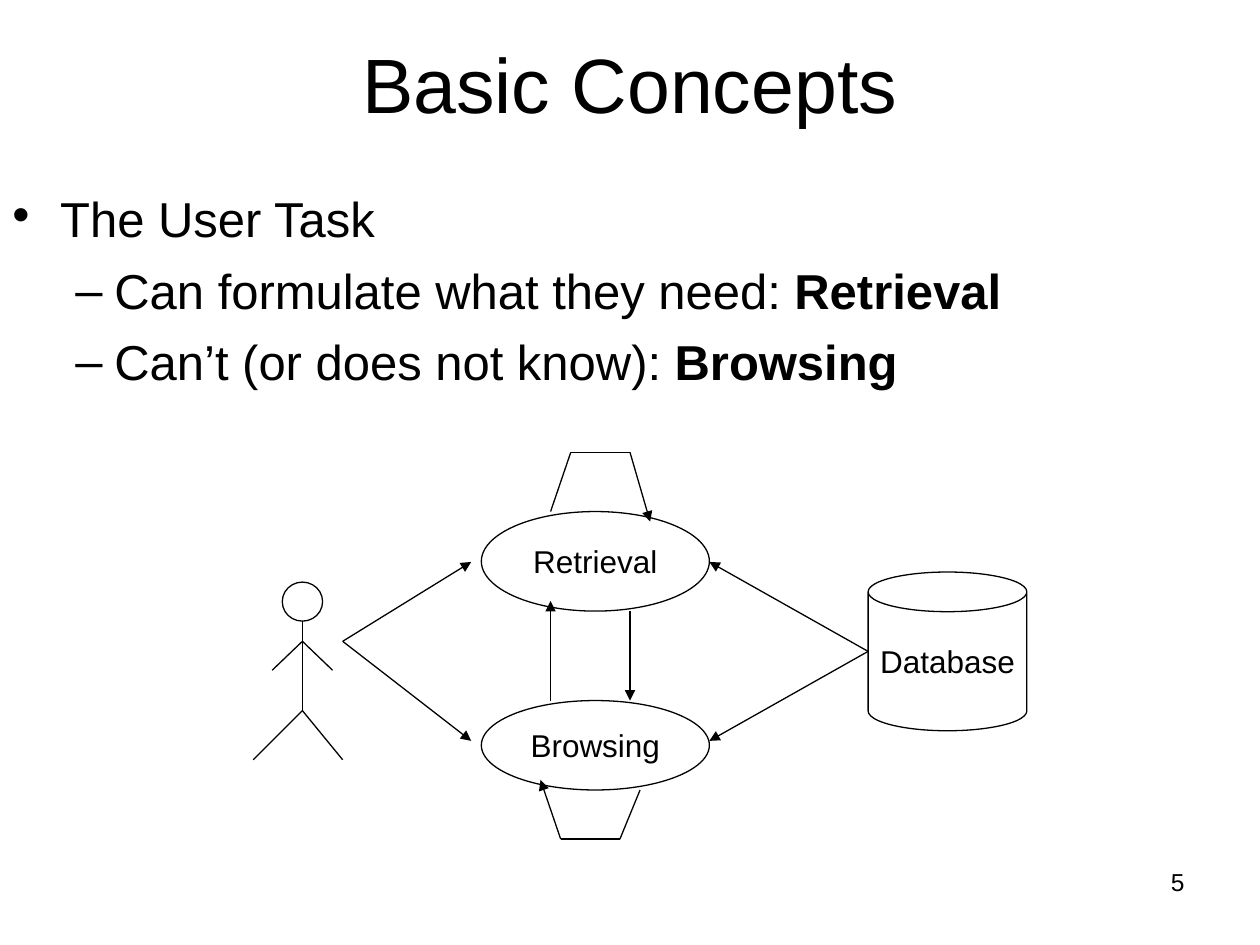
from typing import NamedTuple

import pptx
import pptx.dml.color
import pptx.enum.shapes
import pptx.enum.text
import pptx.oxml
import pptx.oxml.ns
import pptx.util
from pptx.util import Inches

BLACK, WHITE = "000000", "FFFFFF"
FONT = "Arial"
ALIGN = pptx.enum.text.PP_ALIGN
ANCHOR = pptx.enum.text.MSO_ANCHOR
SHAPE = pptx.enum.shapes.MSO_SHAPE


class Node(NamedTuple):
    kind: int
    left: float
    top: float
    width: float
    height: float
    label: str = ""


class Route(NamedTuple):
    """Straight segments through the points, with an optional final arrowhead."""
    points: list[tuple[float, float]]
    arrow: bool = True


class Bullet(NamedTuple):
    mark: str
    margin: float
    hang: float
    space_before: float
    runs: list[tuple[str, dict]]


def colour(value: str) -> pptx.dml.color.RGBColor:
    return pptx.dml.color.RGBColor.from_string(value)


def add_run(paragraph, text: str, size: float, **formats) -> None:
    run = paragraph.add_run()
    run.text = text
    formats = {"name": FONT, "size": pptx.util.Pt(size), **formats}
    for key, value in formats.items():
        setattr(run.font, key, value)
    run.font.color.rgb = colour(BLACK)


def add_text(slide, box: tuple, anchor=ANCHOR.TOP):
    frame = slide.shapes.add_textbox(*map(Inches, box)).text_frame
    frame.word_wrap = True
    frame.vertical_anchor = anchor
    return frame


def add_line_of_text(slide, box: tuple, text: str, size: float, align, anchor=ANCHOR.TOP) -> None:
    paragraph = add_text(slide, box, anchor).paragraphs[0]
    paragraph.alignment = align
    add_run(paragraph, text, size)


def add_bullet(paragraph, bullet: Bullet) -> None:
    paragraph.space_before = pptx.util.Pt(bullet.space_before)
    properties = paragraph._p.get_or_add_pPr()
    properties.set("marL", str(Inches(bullet.margin)))
    properties.set("indent", str(-Inches(bullet.hang)))
    for tag, name, value in (("a:buFont", "typeface", FONT), ("a:buChar", "char", bullet.mark)):
        element = pptx.oxml.parse_xml(f"<{tag} {pptx.oxml.ns.nsdecls('a')}/>")
        element.set(name, value)
        properties.append(element)
    for text, formats in bullet.runs:
        add_run(paragraph, text, **{"size": 28, **formats})


def style_line(line) -> None:
    line.color.rgb = colour(BLACK)
    line.width = pptx.util.Pt(0.75)


def add_node(slide, node: Node) -> None:
    shape = slide.shapes.add_shape(node.kind, *map(Inches, node[1:5]))
    shape.shadow.inherit = False
    shape.fill.solid()
    shape.fill.fore_color.rgb = colour(WHITE)
    style_line(shape.line)
    if node.label:
        shape.text_frame.word_wrap = False
        shape.text_frame.vertical_anchor = ANCHOR.MIDDLE
        paragraph = shape.text_frame.paragraphs[0]
        paragraph.alignment = ALIGN.CENTER
        add_run(paragraph, node.label, 18)


def add_route(slide, route: Route) -> None:
    for start, end in zip(route.points, route.points[1:]):
        segment = slide.shapes.add_connector(
            pptx.enum.shapes.MSO_CONNECTOR.STRAIGHT, *map(Inches, start + end))
        style_line(segment.line)
        properties = segment._element.spPr
        properties.append(pptx.oxml.parse_xml(f"<a:effectLst {pptx.oxml.ns.nsdecls('a')}/>"))
    if route.arrow:
        segment.line._get_or_add_ln().append(pptx.oxml.parse_xml(
            f'<a:tailEnd {pptx.oxml.ns.nsdecls("a")} type="triangle"/>'))


BULLETS = [
    Bullet("•", 0.38, 0.38, 8, [("The User Task", {}), (" ", {"size": 32})]),
    Bullet("–", 0.81, 0.31, 7,
           [("Can formulate what they need: ", {}), ("Retrieval", {"bold": True})]),
    Bullet("–", 0.81, 0.31, 7,
           [("Can’t (or does not know): ", {}), ("Browsing", {"bold": True})]),
]

NODES = [
    Node(SHAPE.OVAL, 2.24, 4.62, 0.32, 0.31),
    Node(SHAPE.OVAL, 3.82, 4.06, 1.81, 0.79, "Retrieval"),
    Node(SHAPE.OVAL, 3.82, 5.56, 1.81, 0.71, "Browsing"),
    Node(SHAPE.CAN, 6.89, 4.54, 1.26, 1.26, "Database"),
]

NECK, SHOULDERS, HIPS = (2.4, 4.93), (2.4, 5.09), (2.4, 5.64)
USER, DATABASE = (2.72, 5.09), (6.89, 5.17)
RETRIEVAL_Y, BROWSING_Y = 4.46, 5.88

ROUTES = [
    # User's body, arms and legs
    Route([NECK, HIPS], arrow=False),
    Route([(2.16, 5.32), SHOULDERS, (2.64, 5.32)], arrow=False),
    Route([(2.01, 6.03), HIPS, (2.72, 6.03)], arrow=False),
    # User and database to each task
    *(Route([origin, (x, y)])
      for origin, x in ((USER, 3.74), (DATABASE, 5.63))
      for y in (RETRIEVAL_Y, BROWSING_Y)),
    # Between the two tasks
    Route([(4.37, 5.56), (4.37, 4.77)]),
    Route([(5, 4.85), (5, 5.56)]),
    # Each task back to itself
    Route([(4.37, 4.06), (4.53, 3.59), (5, 3.59), (5.16, 4.14)]),
    Route([(5.08, 6.27), (4.92, 6.66), (4.45, 6.66), (4.29, 6.19)]),
]


def main() -> None:
    deck = pptx.Presentation()
    deck.slide_width, deck.slide_height = Inches(10), Inches(7.5)
    slide = deck.slides.add_slide(deck.slide_layouts[6])

    # Title and bullets
    add_line_of_text(slide, (0, 0, 10, 1.31), "Basic Concepts", 44, ALIGN.CENTER, ANCHOR.MIDDLE)
    body = add_text(slide, (0, 1.39, 10, 6.11))
    for index, bullet in enumerate(BULLETS):
        add_bullet(body.add_paragraph() if index else body.paragraphs[0], bullet)

    # Diagram
    for node in NODES:
        add_node(slide, node)
    for route in ROUTES:
        add_route(slide, route)

    # Slide number
    add_line_of_text(slide, (7.17, 6.83, 2.33, 0.52), "5", 14, ALIGN.RIGHT)
    deck.save("out.pptx")


if __name__ == "__main__":
    main()
